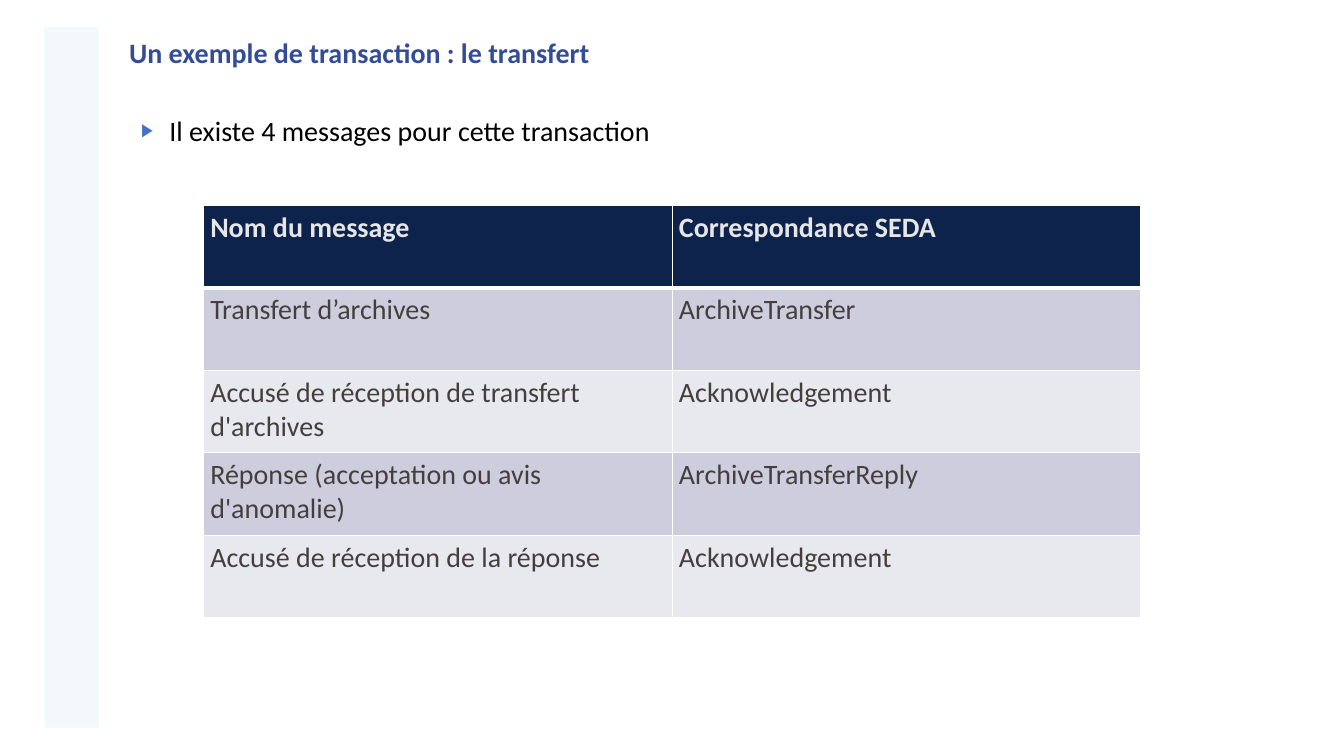
import dataclasses

import pptx
import pptx.dml.color
import pptx.enum.shapes
import pptx.enum.text
import pptx.oxml
import pptx.oxml.ns
import pptx.util

Cm = pptx.util.Cm
Pt = pptx.util.Pt
RGB = pptx.dml.color.RGBColor.from_string


@dataclasses.dataclass(frozen=True)
class Theme:
    font: str = "Calibri"
    size: int = 20
    band: str = "F3F8FA"
    title: str = "334C98"
    text: str = "000000"
    bullet: str = "4472C4"
    header_text: str = "E6E6E6"
    header_fill: str = "0D234C"
    cell_text: str = "443F3D"
    row_fills: tuple = ("CDCDDE", "E8E8EF")
    border: str = "FFFFFF"
    thin: float = 0.96
    thick: float = 3


THEME = Theme()

MESSAGES = [
    ("Nom du message", "Correspondance SEDA"),
    ("Transfert d’archives", "ArchiveTransfer"),
    ("Accusé de réception de transfert d'archives", "Acknowledgement"),
    ("Réponse (acceptation ou avis d'anomalie)", "ArchiveTransferReply"),
    ("Accusé de réception de la réponse", "Acknowledgement"),
]


def apply_format(target, values):
    for name, value in values.items():
        setattr(target, name, value)


def place(shape, box):
    names = ("left", "top", "width", "height")
    apply_format(shape, dict(zip(names, map(Cm, box))))


def write_text(text_frame, text, color, bold=False):
    """Put one left-aligned line of theme text in the frame and return its paragraph."""
    paragraph = text_frame.paragraphs[0]
    paragraph.alignment = pptx.enum.text.PP_ALIGN.LEFT
    run = paragraph.add_run()
    run.text = text
    apply_format(run.font, {"name": THEME.font, "size": Pt(THEME.size), "bold": bold})
    run.font.color.rgb = RGB(color)
    return paragraph


def format_frame(text_frame):
    apply_format(text_frame, {
        "word_wrap": True,
        "auto_size": pptx.enum.text.MSO_AUTO_SIZE.NONE,
        "vertical_anchor": pptx.enum.text.MSO_ANCHOR.TOP,
    })


def add_side_band(slide, box):
    band = slide.shapes.add_shape(
        pptx.enum.shapes.MSO_SHAPE.RECTANGLE, *map(Cm, box))
    band.shadow.inherit = False
    band.fill.solid()
    band.fill.fore_color.rgb = RGB(THEME.band)
    band.line.fill.background()


def add_title(slide, box, text):
    title = slide.shapes.title
    place(title, box)
    format_frame(title.text_frame)
    write_text(title.text_frame, text, THEME.title, bold=True)


def add_bullet_text(slide, box, text):
    text_box = slide.shapes.add_textbox(*map(Cm, box))
    format_frame(text_box.text_frame)
    paragraph = write_text(text_box.text_frame, text, THEME.text)
    properties = paragraph._p.get_or_add_pPr()
    properties.set("marL", str(Cm(1.02)))
    properties.set("indent", str(Cm(-0.71)))
    namespace = pptx.oxml.ns.nsdecls("a")
    for xml in (
        f'<a:buClr {namespace}><a:srgbClr val="{THEME.bullet}"/></a:buClr>',
        f'<a:buSzPct {namespace} val="65000"/>',
        f'<a:buFont {namespace} typeface="Arial"/>',
        f'<a:buChar {namespace} char="▶"/>',
    ):
        properties.append(pptx.oxml.parse_xml(xml))


def set_borders(cell, widths):
    """Draw the cell's edges; widths maps the sides L, R, T, B, in that order, to points."""
    properties = cell._tc.get_or_add_tcPr()
    for index, (side, width) in enumerate(widths.items()):
        properties.insert(index, pptx.oxml.parse_xml(
            f'<a:ln{side} {pptx.oxml.ns.nsdecls("a")} w="{Pt(width)}">'
            f'<a:solidFill><a:srgbClr val="{THEME.border}"/></a:solidFill>'
            f'</a:ln{side}>'))


def add_message_table(slide, box, rows):
    table = slide.shapes.add_table(len(rows), len(rows[0]), *map(Cm, box)).table
    for row_index, row in enumerate(rows):
        header = row_index == 0
        fill = THEME.header_fill if header else THEME.row_fills[(row_index - 1) % 2]
        color = THEME.header_text if header else THEME.cell_text
        widths = {
            "L": THEME.thin,
            "R": THEME.thin,
            "T": THEME.thick if row_index == 1 else THEME.thin,
            "B": THEME.thick if header else THEME.thin,
        }
        for column_index, text in enumerate(row):
            cell = table.cell(row_index, column_index)
            apply_format(cell, {
                "margin_left": Cm(0.17), "margin_right": Cm(0.17),
                "margin_top": Cm(0.13), "margin_bottom": Cm(0.13),
            })
            cell.fill.solid()
            cell.fill.fore_color.rgb = RGB(fill)
            set_borders(cell, widths)
            write_text(cell.text_frame, text, color, bold=header)


def main():
    presentation = pptx.Presentation()
    apply_format(presentation, {"slide_width": Cm(33.87), "slide_height": Cm(19.05)})
    slide = presentation.slides.add_slide(presentation.slide_layouts[5])
    add_side_band(slide, (1.12, 0.69, 1.38, 17.65))
    add_title(slide, (3, 0.76, 29.9, 1.09), "Un exemple de transaction : le transfert")
    add_bullet_text(slide, (3, 2.74, 28.04, 14.4),
                    "Il existe 4 messages pour cette transaction")
    add_message_table(slide, (5.13, 5.17, 23.62, 10.4), MESSAGES)
    presentation.save("out.pptx")


if __name__ == "__main__":
    main()
